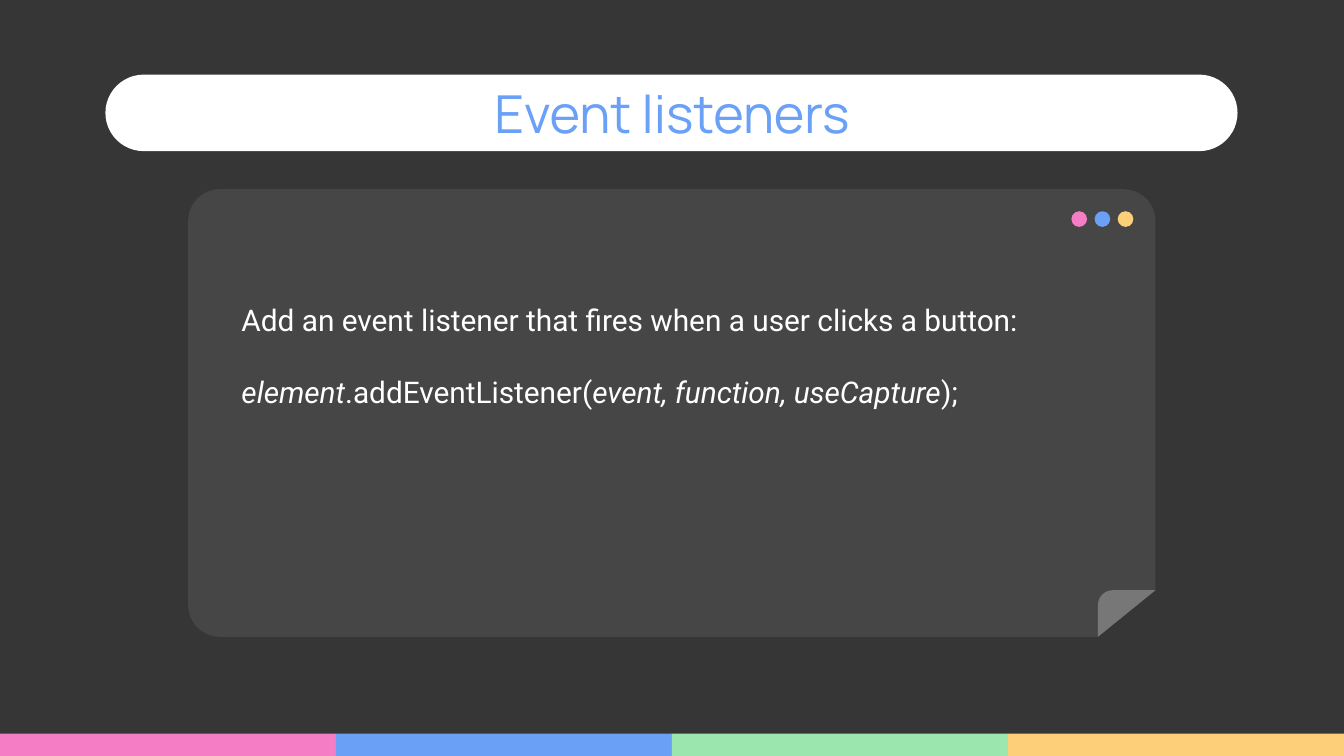
"""Build the "Event listeners" slide."""
import math

import pptx
import pptx.dml.color
import pptx.enum.shapes
import pptx.enum.text
import pptx.util

Pt = pptx.util.Pt
RGBColor = pptx.dml.color.RGBColor
SHAPE = pptx.enum.shapes.MSO_SHAPE
ANCHOR = pptx.enum.text.MSO_ANCHOR
ALIGN = pptx.enum.text.PP_ALIGN

DARK = RGBColor(0x36, 0x36, 0x36)
PANEL = RGBColor(0x46, 0x46, 0x46)
FOLD = RGBColor(0x77, 0x77, 0x77)
WHITE = RGBColor(0xFF, 0xFF, 0xFF)
PINK = RGBColor(0xF5, 0x7D, 0xC6)
BLUE = RGBColor(0x6A, 0xA1, 0xF7)
GREEN = RGBColor(0x9A, 0xE6, 0xAE)
YELLOW = RGBColor(0xFC, 0xCF, 0x78)


class Deck:
    def __init__(self, width, height):
        self.prs = pptx.Presentation()
        self.prs.slide_width, self.prs.slide_height = Pt(width), Pt(height)
        self.s = self.prs.slides.add_slide(self.prs.slide_layouts[5])
        self.s.background.fill.solid()
        self.s.background.fill.fore_color.rgb = DARK
        self.title_font, self.body_font = "Manrope", "Roboto"

    def paint(self, sp, fill, line=None):
        sp.shadow.inherit = False
        sp.fill.solid()
        sp.fill.fore_color.rgb = fill
        if line is None:
            sp.line.fill.background()
        else:
            sp.line.color.rgb = line
            sp.line.width = Pt(0.75)

    def shape(self, kind, x, y, w, h, fill, adj=None, line=None, parent=None):
        sp = (parent or self.s).shapes.add_shape(kind, Pt(x), Pt(y), Pt(w), Pt(h))
        if adj is not None:
            sp.adjustments[0] = adj
        self.paint(sp, fill, line)
        return sp

    def outline(self, points, fill, parent):
        points = [(Pt(x), Pt(y)) for x, y in points]
        builder = parent.shapes.build_freeform(*points[0])
        builder.add_line_segments(points[1:], close=True)
        self.paint(builder.convert_to_shape(), fill)

    def frame(self, sp, x, y, w, h):
        sp.left, sp.top, sp.width, sp.height = Pt(x), Pt(y), Pt(w), Pt(h)
        tf = sp.text_frame
        tf.word_wrap = True
        tf.auto_size = pptx.enum.text.MSO_AUTO_SIZE.NONE
        tf.vertical_anchor = ANCHOR.MIDDLE
        tf.margin_left = tf.margin_right = Pt(7.2)
        tf.margin_top = tf.margin_bottom = Pt(7.2)
        return tf

    def font(self, r, name, size, color, italic=False):
        r.font.name, r.font.size = name, Pt(size)
        r.font.color.rgb, r.font.italic = color, italic

    def title(self, text, x, y, w, h):
        sp = self.s.shapes.title
        self.s.shapes.element.append(sp.element)
        tf = self.frame(sp, x, y, w, h)
        tf.text = text
        p = tf.paragraphs[0]
        p.alignment = ALIGN.CENTER
        self.font(p.runs[0], self.title_font, 28, BLUE)

    def body(self, paragraphs, x, y, w, h, gap):
        sp = self.s.shapes.add_textbox(Pt(x), Pt(y), Pt(w), Pt(h))
        tf = self.frame(sp, x, y, w, h)
        tf.margin_bottom = Pt(26)
        for i, runs in enumerate(paragraphs):
            p = tf.add_paragraph() if i else tf.paragraphs[0]
            pPr = p._p.get_or_add_pPr()
            pPr.set("marL", str(Pt(36)))
            pPr.set("indent", str(Pt(-26)))
            p.space_before = Pt(gap if i else 0)
            for text, italic in runs:
                r = p.add_run()
                r.text = text
                self.font(r, self.body_font, 16, WHITE, italic)


def main():
    deck = Deck(720, 405)
    for i, color in enumerate((PINK, BLUE, GREEN, YELLOW)):
        deck.shape(SHAPE.RECTANGLE, 180 * i, 393, 180, 12, color)
    deck.shape(SHAPE.ROUNDED_RECTANGLE, 56.5, 40, 606.5, 41, WHITE, 0.5)
    deck.title("Event listeners", 56.7, 42.5, 606.6, 36)

    window = deck.s.shapes.add_group_shape()
    deck.shape(SHAPE.ROUNDED_RECTANGLE, 100.8, 101.4, 518.2, 239.8, PANEL, 0.071,
               parent=window)
    for i, color in enumerate((PINK, BLUE, YELLOW)):
        deck.shape(SHAPE.OVAL, 574 + 12.4 * i, 113.2, 8.4, 8.4, color, parent=window)

    left, top, right, bottom, radius = 588.2, 316.2, 619, 341.2, 8
    corner = deck.shape(SHAPE.RIGHT_TRIANGLE, left + 0.4, top + 0.6, 30.4, 24.4,
                        DARK, line=DARK, parent=window)
    corner.element.spPr.get_or_add_xfrm().set("flipH", "1")
    angles = [math.radians(a) for a in range(270, 179, -10)]
    arc = [(left + radius + radius * math.cos(a), top + radius + radius * math.sin(a))
           for a in angles]
    deck.outline(arc + [(left, bottom), (right, top)], FOLD, window)

    deck.body([
        [("Add an event listener that fires when a user clicks a button:", False)],
        [("element", True), (".addEventListener(", False),
         ("event, function, useCapture", True), (");", False)],
    ], 112.3, 138.2, 506.2, 123.1, gap=19.3)
    deck.prs.save("out.pptx")


if __name__ == "__main__":
    main()
